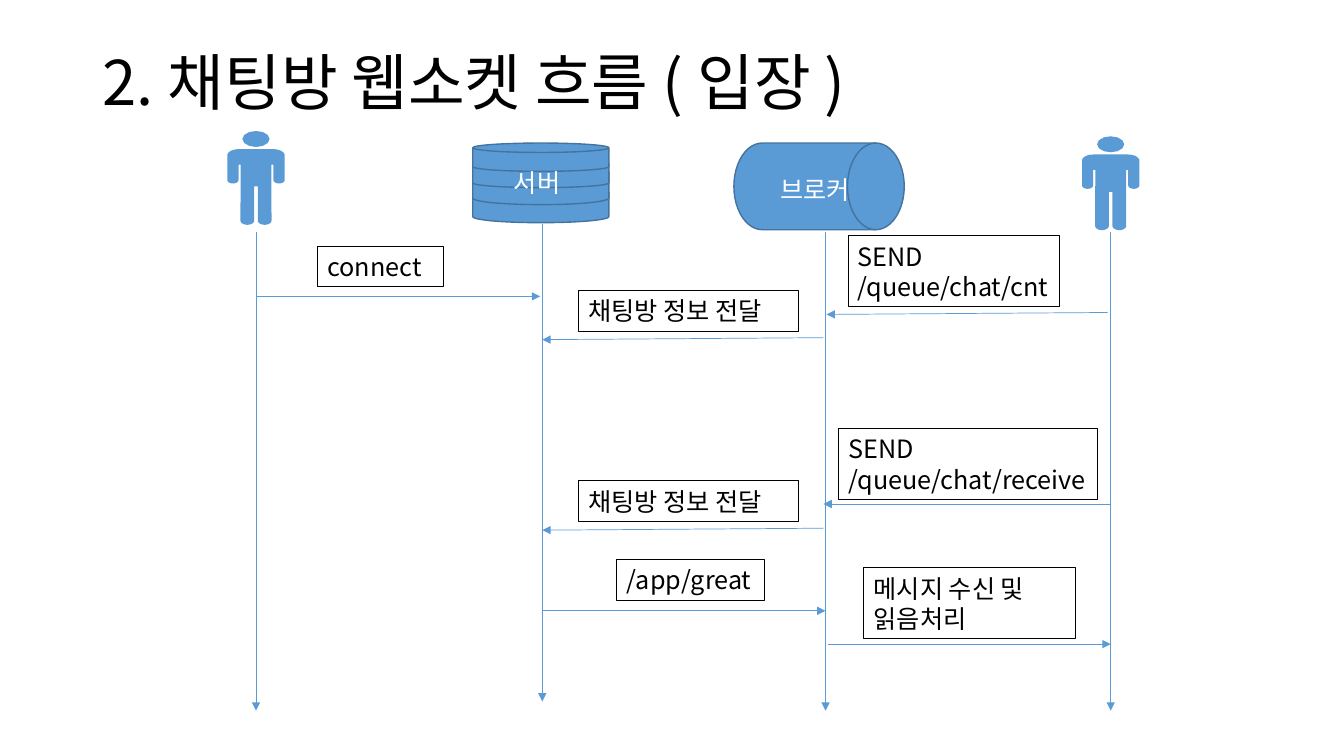
from math import cos, radians, sin

from lxml.etree import SubElement
from pptx import Presentation
from pptx.dml.color import RGBColor as Rgb
from pptx.enum.shapes import MSO_CONNECTOR as Wire, MSO_SHAPE as Kind
from pptx.enum.text import MSO_ANCHOR as Anchor, PP_ALIGN as Align
from pptx.oxml.ns import qn
from pptx.util import Pt

FONT = "Noto Sans CJK KR"
HEX = {"blue": "5B9BD5", "edge": "43739E", "ink": "000000", "white": "FFFFFF"}

TITLE = ("2. 채팅방 웹소켓 흐름 ( 입장 )", 66.2, 28.8, 823.7, 64.8)

# Lifelines: x, top, bottom
LIVES = {
    "guest": (182.9, 165.6, 507.6),
    "server": (387.4, 159.8, 501.1),
    "broker": (589.7, 165.6, 507.6),
    "host": (793.4, 165.6, 507.6),
}

# Messages: sender, gap at start, receiver, gap at end, start y, end y
CALLS = [
    ("guest", 0, "server", -1.5, 211.7, 211.7),
    ("host", -2.2, "broker", 0.7, 223.2, 224.6),
    ("broker", -1.5, "server", 0, 241.2, 242.6),
    ("host", 0, "broker", -1.5, 360, 360),
    ("broker", -1.5, "server", 0, 377.3, 378.7),
    ("server", 0, "broker", 0, 436.3, 436.3),
    ("broker", 1.5, "host", 0, 460.1, 460.1),
]

# Message labels: lines, left, top, width, height
LABELS = [
    (["connect"], 226.8, 175.7, 90, 29.1),
    (["SEND", "/queue/chat/cnt"], 605.7, 168.3, 151.2, 50.9),
    (["채팅방 정보 전달"], 413.3, 207.4, 157, 29.1),
    (["SEND", "/queue/chat/receive"], 599, 306, 185, 50.9),
    (["채팅방 정보 전달"], 413.3, 343.4, 157, 29.1),
    (["/app/great"], 440.6, 399.6, 105.8, 29.1),
    (["메시지 수신 및 읽음처리"], 617, 405.4, 151.2, 50.9),
]

DISKS = [(133.2, 25.9), (118.1, 28.1), (113.8, 20.2), (102.2, 20.2)]
DISK_X, DISK_W = 337.7, 97.2
DRUM = (524.2, 102.2, 121.7, 61.9)
NAMES = [("서버", 360, 115.9, 53.3, 29.1), ("브로커", 550.1, 121, 82.8, 29.1)]
PEOPLE = [("guest", 93.6), ("host", 97.4)]


def tint(name):
    return Rgb.from_string(HEX[name])


def write(shape, lines, size, hue):
    frame = shape.text_frame
    frame.word_wrap = True
    for i, line in enumerate(lines):
        para = frame.add_paragraph() if i else frame.paragraphs[0]
        para.alignment = Align.LEFT
        run = para.add_run()
        run.text = line
        run.font.size = Pt(size)
        run.font.name = FONT
        run.font.color.rgb = tint(hue)
        SubElement(run.font._element, qn("a:ea"), typeface=FONT)
    return frame


def add_text(slide, box, lines, size, hue):
    shape = slide.shapes.add_textbox(*map(Pt, box))
    return write(shape, lines, size, hue)


def paint(shape, fill, line, width=1):
    shape.shadow.inherit = False
    if fill:
        shape.fill.solid()
        shape.fill.fore_color.rgb = tint(fill)
    else:
        shape.fill.background()
    if line:
        shape.line.color.rgb = tint(line)
        shape.line.width = Pt(width)
    else:
        shape.line.fill.background()


def add_shape(slide, kind, box, fill, line, width=1):
    shape = slide.shapes.add_shape(kind, *map(Pt, box))
    paint(shape, fill, line, width)
    return shape


def add_arrow(slide, *ends):
    arrow = slide.shapes.add_connector(Wire.STRAIGHT, *map(Pt, ends))
    arrow.line.color.rgb = tint("blue")
    arrow.line.width = Pt(0.5)
    SubElement(arrow.line._get_or_add_ln(), qn("a:tailEnd"), type="triangle")
    SubElement(arrow._element.spPr, qn("a:effectLst"))


def arc(x, y, wide, high, start, stop):
    """Points on an ellipse, with angles in degrees clockwise from the right."""
    turns = [radians(start + (stop - start) * i / 12) for i in range(13)]
    return [(x + wide * cos(t), y + high * sin(t)) for t in turns]


def add_person(slide, mid, top):
    shoulder = arc(12.5, 17.5, 8, 4.5, -90, 0)
    hand = arc(16.5, 35, 4, 2.5, 0, 180)
    foot = arc(6.2, 64, 4.9, 3, 0, 180)
    half = shoulder + hand + [(12.5, 24), (11, 24)] + foot + [(1.3, 39.6)]
    body = half + [(-x, y) for x, y in reversed(half)]
    head = arc(0, 5.7, 9.7, 5.7, 0, 360)

    def place(points):
        return [(Pt(mid + x), Pt(top + y)) for x, y in points]

    body, head = place(body), place(head)
    pen = slide.shapes.build_freeform(*body[0])
    pen.add_line_segments(body[1:])
    pen.move_to(*head[0])
    pen.add_line_segments(head[1:])
    paint(pen.convert_to_shape(), "blue", None)


def main():
    deck = Presentation()
    deck.slide_width, deck.slide_height = Pt(960), Pt(540)
    slide = deck.slides.add_slide(deck.slide_layouts[6])

    words, *box = TITLE
    frame = add_text(slide, box, [words], 44, "ink")
    frame.vertical_anchor = Anchor.MIDDLE
    frame.paragraphs[0].line_spacing = 0.9

    for x, top, end in LIVES.values():
        add_arrow(slide, x, top, x, end)
    for src, out, dest, near, y1, y2 in CALLS:
        add_arrow(slide, LIVES[src][0] + out, y1, LIVES[dest][0] + near, y2)

    for top, high in DISKS:
        box = (DISK_X, top, DISK_W, high)
        add_shape(slide, Kind.FLOWCHART_MAGNETIC_DISK, box, "blue", "edge")
    add_shape(slide, Kind.FLOWCHART_DIRECT_ACCESS_STORAGE, DRUM, "blue", "edge")
    for name, *box in NAMES:
        add_text(slide, box, [name], 18, "white")
    for who, top in PEOPLE:
        add_person(slide, LIVES[who][0], top)

    for lines, *box in LABELS:
        shape = add_shape(slide, Kind.RECTANGLE, box, None, "ink", 0.5)
        write(shape, lines, 18, "ink")

    deck.save("out.pptx")


if __name__ == "__main__":
    main()
